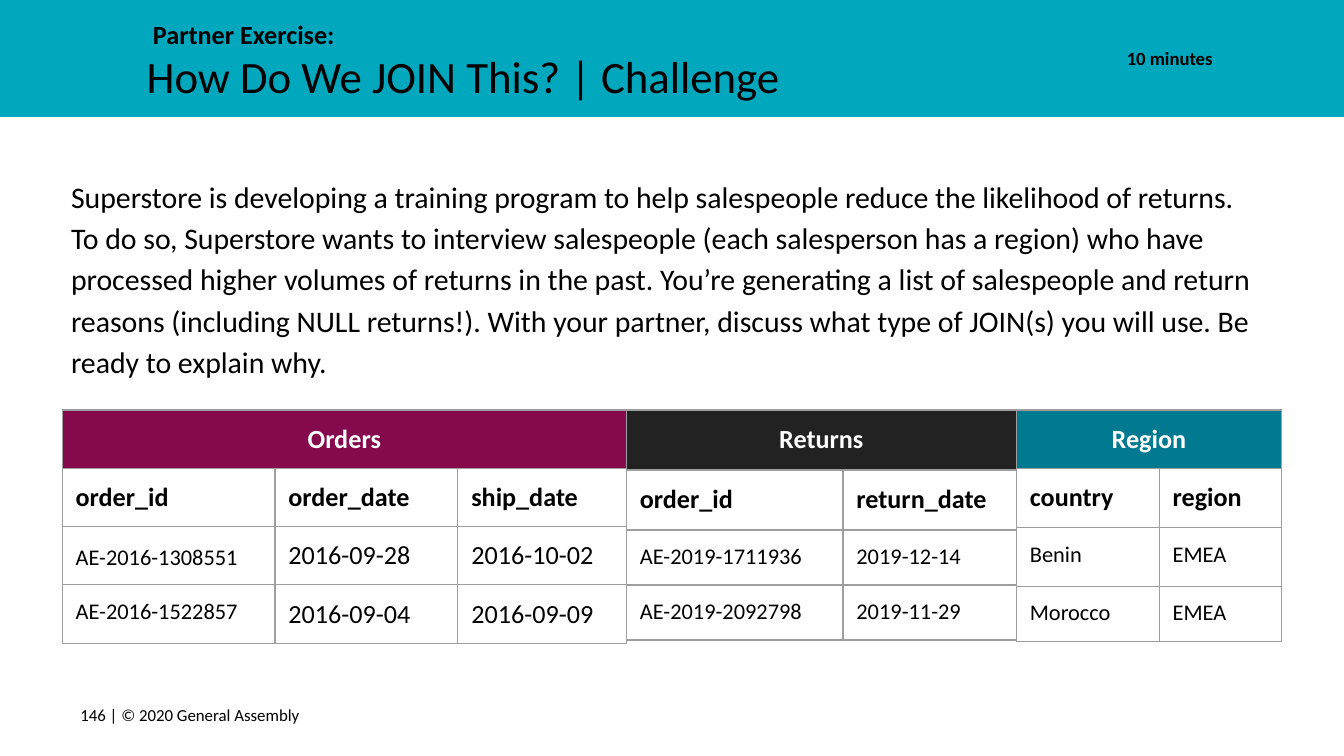
from dataclasses import dataclass

from lxml import etree
from pptx import Presentation
from pptx.dml.color import RGBColor
from pptx.enum.shapes import MSO_SHAPE
from pptx.enum.text import MSO_ANCHOR, PP_ALIGN
from pptx.oxml.ns import qn
from pptx.util import Pt

RECTANGLE = MSO_SHAPE.RECTANGLE
TOP, MIDDLE = MSO_ANCHOR.TOP, MSO_ANCHOR.MIDDLE
LEFT, CENTER, RIGHT = PP_ALIGN.LEFT, PP_ALIGN.CENTER, PP_ALIGN.RIGHT

COLORS = {
    "banner": "00A7BD",
    "orders": "850A4D",
    "returns": "222222",
    "region": "017991",
    "border": "9E9E9E",
    "dark": "000000",
    "light": "FFFFFF",
}
FONT = "Calibri"
INSET = 7.2
TABLE_TOP = 219.6
BORDER_WIDTH = 0.75


@dataclass
class TextBlock:
    text: str
    left: float
    top: float
    width: float
    height: float
    size: float
    bold: bool = False
    align: PP_ALIGN = LEFT
    anchor: MSO_ANCHOR = TOP
    line_spacing: float | None = None
    space_after: float = 0


@dataclass
class DataTable:
    title: str
    color: str
    left: float
    column_widths: list[float]
    row_heights: list[float]
    headers: list[str]
    records: list[list[str]]
    sizes: list[float]
    first_id_spacing: float | None = None


TEXT_BLOCKS = [
    TextBlock("Partner Exercise:", 74.9, 2.9, 175, 36, 14, bold=True),
    TextBlock(
        "Superstore is developing a training program to help salespeople reduce "
        "the likelihood of returns. To do so, Superstore wants to interview "
        "salespeople (each salesperson has a region) who have processed higher "
        "volumes of returns in the past. You’re generating a list of salespeople "
        "and return reasons (including NULL returns!). With your partner, discuss "
        "what type of JOIN(s) you will use. Be ready to explain why.",
        31, 85.7, 648, 133.9, 16, line_spacing=1.15, space_after=16),
    TextBlock("How Do We JOIN This? | Challenge", 71.5, 18.7, 505.4, 36, 24),
    TextBlock("146 | © 2020 General Assembly", 36, 367.2, 186.5, 31, 9, anchor=MIDDLE),
    TextBlock("10 minutes", 551.5, 16.6, 105.1, 25.9, 10, bold=True, align=RIGHT,
              line_spacing=1.15, space_after=16),
]

DATA_TABLES = [
    DataTable("Region", "region", 544.5, [76.5, 65.5], [31.5, 31.5, 31.5, 29.5],
              ["country", "region"],
              [["Benin", "EMEA"], ["Morocco", "EMEA"]], [12, 12]),
    DataTable("Orders", "orders", 33.3, [114, 98, 90.3], [29.5] * 4,
              ["order_id", "order_date", "ship_date"],
              [["AE-2016-1308551", "2016-09-28", "2016-10-02"],
               ["AE-2016-1522857", "2016-09-04", "2016-09-09"]],
              [12, 14, 14], first_id_spacing=1.15),
    DataTable("Returns", "returns", 335.6, [116, 92.8], [32.2, 32.2, 29.5, 29.5],
              ["order_id", "return_date"],
              [["AE-2019-1711936", "2019-12-14"], ["AE-2019-2092798", "2019-11-29"]],
              [12, 12]),
]


def rgb(color: str) -> RGBColor:
    return RGBColor.from_string(COLORS[color])


def add_run(paragraph, text: str, size: float, bold: bool, color: str = "dark") -> None:
    run = paragraph.add_run()
    run.text = text
    run.font.name = FONT
    run.font.size = Pt(size)
    run.font.bold = bold
    run.font.color.rgb = rgb(color)


def set_insets(holder) -> None:
    """Apply the common inset to a text frame or a table cell."""
    holder.margin_left = holder.margin_right = Pt(INSET)
    holder.margin_top = holder.margin_bottom = Pt(INSET)


def add_banner(slide) -> None:
    banner = slide.shapes.add_shape(RECTANGLE, Pt(0), Pt(-0.7), Pt(720), Pt(63.4))
    banner.shadow.inherit = False
    banner.fill.solid()
    banner.fill.fore_color.rgb = rgb("banner")
    banner.line.fill.background()


def add_text_block(slide, block: TextBlock) -> None:
    box = slide.shapes.add_textbox(
        Pt(block.left), Pt(block.top), Pt(block.width), Pt(block.height))
    frame = box.text_frame
    frame.word_wrap = True
    frame.vertical_anchor = block.anchor
    set_insets(frame)
    paragraph = frame.paragraphs[0]
    paragraph.alignment = block.align
    paragraph.line_spacing = block.line_spacing
    paragraph.space_after = Pt(block.space_after)
    add_run(paragraph, block.text, block.size, block.bold)


def add_borders(cell) -> None:
    """Outline the cell; must run before its fill is set."""
    properties = cell._tc.get_or_add_tcPr()
    for side in ("lnL", "lnR", "lnT", "lnB"):
        line = etree.SubElement(properties, qn(f"a:{side}"), w=str(Pt(BORDER_WIDTH)))
        fill = etree.SubElement(line, qn("a:solidFill"))
        etree.SubElement(fill, qn("a:srgbClr"), val=COLORS["border"])


def add_data_table(slide, data: DataTable) -> None:
    rows = [[data.title], data.headers, *data.records]
    table = slide.shapes.add_table(
        len(rows), len(data.headers), Pt(data.left), Pt(TABLE_TOP),
        Pt(sum(data.column_widths)), Pt(sum(data.row_heights))).table
    table.first_row = table.horz_banding = False
    for column, width in zip(table.columns, data.column_widths):
        column.width = Pt(width)
    for row, height in zip(table.rows, data.row_heights):
        row.height = Pt(height)
    for cell in table.iter_cells():
        set_insets(cell)
        add_borders(cell)
        cell.fill.background()

    title_cell = table.cell(0, 0)
    title_cell.merge(table.cell(0, len(data.headers) - 1))
    title_cell.fill.solid()
    title_cell.fill.fore_color.rgb = rgb(data.color)
    for row_index, values in enumerate(rows):
        for column_index, value in enumerate(values):
            paragraph = table.cell(row_index, column_index).text_frame.paragraphs[0]
            is_heading = row_index < 2
            size = 14 if is_heading else data.sizes[column_index]
            paragraph.alignment = CENTER if row_index == 0 else LEFT
            if (row_index, column_index) == (2, 0):
                paragraph.line_spacing = data.first_id_spacing
            add_run(paragraph, value, size, is_heading,
                    "light" if row_index == 0 else "dark")


def main() -> None:
    presentation = Presentation()
    presentation.slide_width, presentation.slide_height = Pt(720), Pt(405)
    slide = presentation.slides.add_slide(presentation.slide_layouts[6])
    add_banner(slide)
    for block in TEXT_BLOCKS:
        add_text_block(slide, block)
    for data in DATA_TABLES:
        add_data_table(slide, data)
    presentation.save("out.pptx")


if __name__ == "__main__":
    main()
